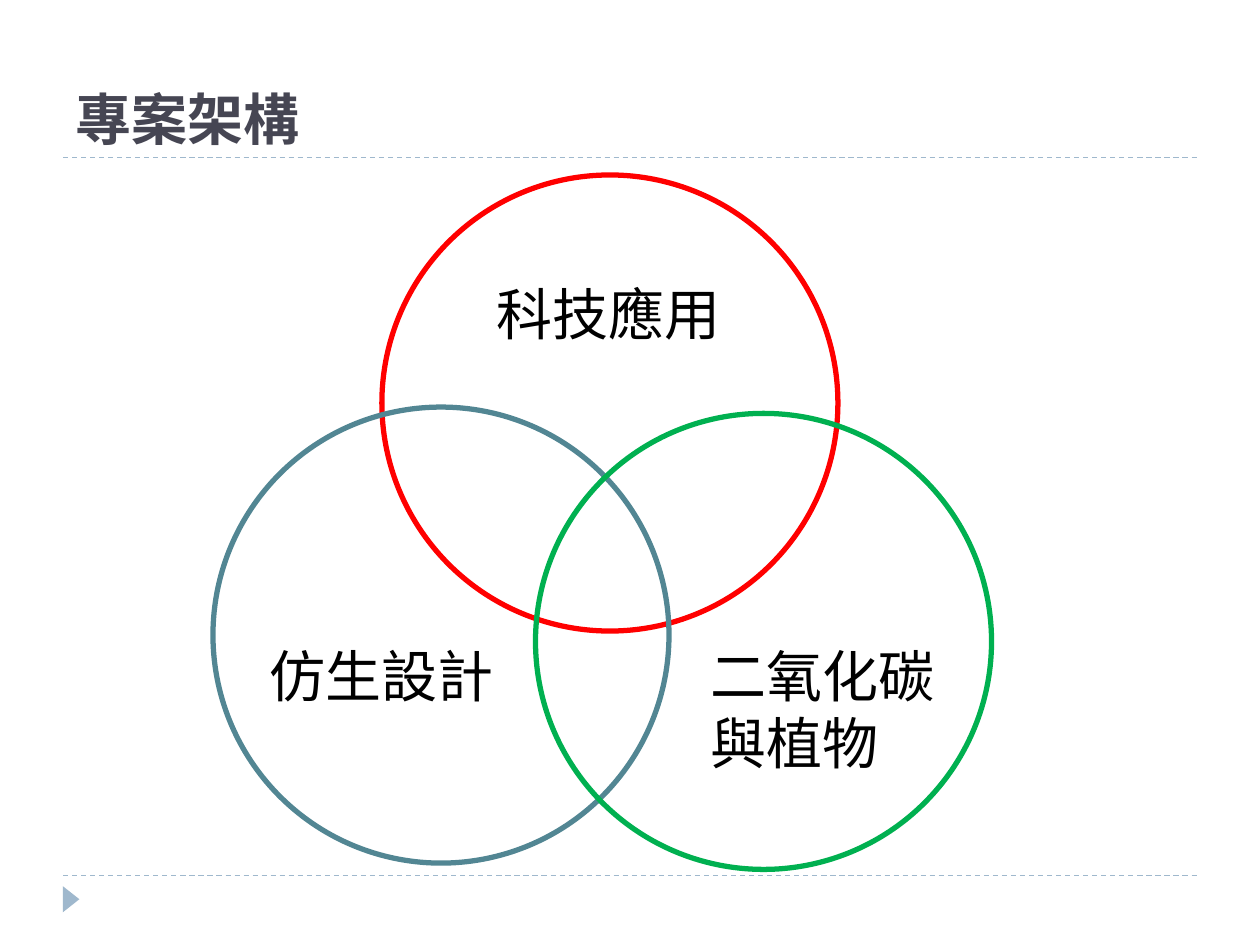
from dataclasses import dataclass

from lxml import etree
from pptx import Presentation
from pptx import util as u
from pptx.dml.color import RGBColor
from pptx.enum import dml, shapes, text
from pptx.oxml.ns import qn


@dataclass(frozen=True)
class Theme:
    rule: str = "9FB8CD"
    title: str = "464653"
    body: str = "000000"
    red: str = "FF0000"
    teal: str = "528693"
    green: str = "00B050"
    head: str = "Roboto Slab"
    font: str = "Arial"
    size: int = 32
    thin: float = 0.75
    thick: float = 3


THEME = Theme()
SIDE = 260.6  # diameter of each circle


def color(code):
    return RGBColor.from_string(code)


def add_rule(slide, y):
    """Draw a dashed line between the slide margins."""
    line = slide.shapes.add_connector(
        shapes.MSO_CONNECTOR.STRAIGHT, u.Pt(36), u.Pt(y), u.Pt(684), u.Pt(y))
    line.line.color.rgb = color(THEME.rule)
    line.line.width = u.Pt(THEME.thin)
    line.line.dash_style = dml.MSO_LINE.DASH
    etree.SubElement(line._element.spPr, qn("a:effectLst"))


def add_mark(slide):
    """Draw the small footer triangle that points right."""
    mark = slide.shapes.add_shape(
        shapes.MSO_SHAPE.ISOSCELES_TRIANGLE,
        u.Pt(33.1), u.Pt(509.1), u.Pt(15), u.Pt(9.5))
    mark.rotation = 90
    mark.shadow.inherit = False
    mark.fill.solid()
    mark.fill.fore_color.rgb = color(THEME.rule)
    mark.line.fill.background()


def add_ring(slide, left, top, hue):
    ring = slide.shapes.add_shape(
        shapes.MSO_SHAPE.OVAL, u.Pt(left), u.Pt(top), u.Pt(SIDE), u.Pt(SIDE))
    ring.shadow.inherit = False
    ring.fill.background()
    ring.line.color.rgb = color(hue)
    ring.line.width = u.Pt(THEME.thick)


def add_text(slide, box, lines, font, hue, bold=False, wrap=False,
             anchor=text.MSO_ANCHOR.TOP):
    frame = slide.shapes.add_textbox(*map(u.Pt, box)).text_frame
    frame.word_wrap = wrap
    frame.vertical_anchor = anchor
    for i, words in enumerate(lines):
        para = frame.add_paragraph() if i else frame.paragraphs[0]
        run = para.add_run()
        run.text = words
        run.font.name = font
        run.font.size = u.Pt(THEME.size)
        run.font.bold = bold
        run.font.color.rgb = color(hue)


def main():
    deck = Presentation()
    deck.slide_width, deck.slide_height = u.Pt(720), u.Pt(540)
    slide = deck.slides.add_slide(deck.slide_layouts[6])

    for y in (500.4, 90):
        add_rule(slide, y)
    add_mark(slide)
    add_text(slide, (36, 12.2, 648, 77.8), ["專案架構"], THEME.head,
             THEME.title, bold=True, wrap=True,
             anchor=text.MSO_ANCHOR.BOTTOM)

    rings = [
        (218.2, 100, THEME.red),
        (121.7, 232.6, THEME.teal),
        (306, 236.2, THEME.green),
    ]
    for left, top, hue in rings:
        add_ring(slide, left, top, hue)

    labels = [
        (276.5, 156.2, ["科技應用"]),
        (147.2, 363.2, ["仿生設計"]),
        (399.2, 363.2, ["二氧化碳", "與植物"]),
    ]
    for left, top, lines in labels:
        high = 7.2 + 38.8 * len(lines)
        add_text(slide, (left, top, 144, high), lines, THEME.font, THEME.body)

    deck.save("out.pptx")


if __name__ == "__main__":
    main()
